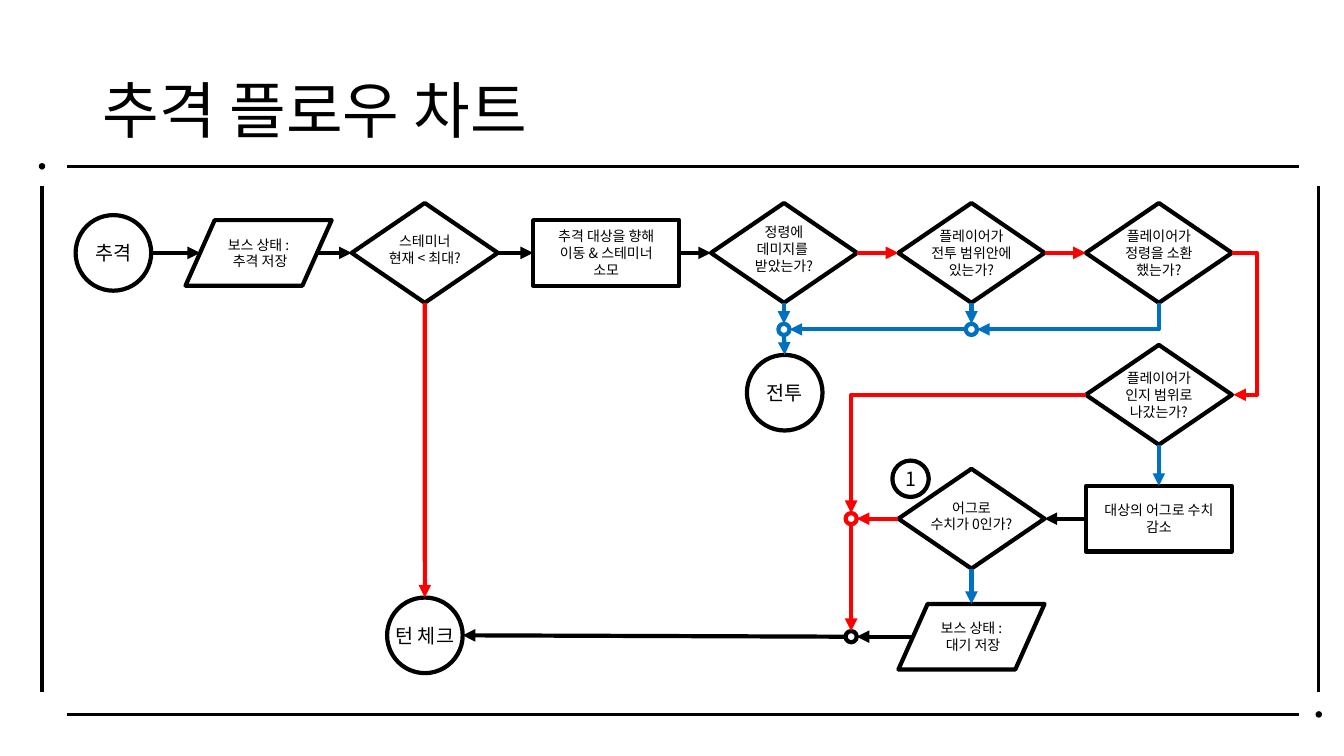
import pptx
import pptx.util
import pptx.dml.color
import pptx.enum.shapes
import pptx.enum.text
import pptx.oxml.ns
from lxml import etree

Pt = pptx.util.Pt
Kind = pptx.enum.shapes.MSO_SHAPE
Wire = pptx.enum.shapes.MSO_CONNECTOR
Align = pptx.enum.text.PP_ALIGN
Anchor = pptx.enum.text.MSO_ANCHOR
qn = pptx.oxml.ns.qn
FONT = "Noto Sans CJK KR"
BLACK, WHITE, RED, BLUE = "000000", "FFFFFF", "FF0000", "0070C0"
SIZES = {
    Kind.RECTANGLE: (104.4, 46.8),
    Kind.FLOWCHART_DATA: (104.4, 46.8),
    Kind.FLOWCHART_DECISION: (104.4, 71.3),
    Kind.OVAL: (54, 54),
}


def color(code):
    return pptx.dml.color.RGBColor.from_string(code)


def write(frame, lines, size, align):
    frame.text = "\n".join(lines)
    frame.vertical_anchor = Anchor.MIDDLE
    for par in frame.paragraphs:
        par.alignment = align
        par.font.size = Pt(size)
        par.font.color.rgb = color(BLACK)
        par.font.name = FONT
        props = par._p.find(".//" + qn("a:defRPr"))
        etree.SubElement(props, qn("a:ea")).set("typeface", FONT)


def node(slide, kind, x, y, lines=(), size=10, lift=0, dim=None,
         line=BLACK, fill=WHITE, width=3):
    w, h = dim or SIZES[kind]
    shape = slide.shapes.add_shape(kind, Pt(x - w / 2), Pt(y - h / 2), Pt(w), Pt(h))
    shape.shadow.inherit = False
    shape.fill.solid()
    shape.fill.fore_color.rgb = color(fill)
    shape.line.color.rgb = color(line)
    shape.line.width = Pt(width)
    if lines:
        frame = shape.text_frame
        frame.word_wrap = False
        frame.margin_left = frame.margin_right = frame.margin_top = 0
        frame.margin_bottom = Pt(2 * lift)
        write(frame, lines, size, Align.CENTER)
    return shape


def joint(slide, x, y, line):
    return node(slide, Kind.OVAL, x, y, dim=(8, 8), line=line)


def port(shape, side):
    x, y = shape.left.pt, shape.top.pt
    w, h = shape.width.pt, shape.height.pt
    skew = w / 10 if shape.auto_shape_type == Kind.FLOWCHART_DATA else 0
    return {
        "left": (x + skew, y + h / 2),
        "right": (x + w - skew, y + h / 2),
        "top": (x + w / 2, y),
        "bottom": (x + w / 2, y + h),
    }[side]


def wire(slide, start, end, line=BLACK, kind=Wire.STRAIGHT, width=3, arrow=True):
    link = slide.shapes.add_connector(kind, *(Pt(v) for v in (*start, *end)))
    link.line.color.rgb = color(line)
    link.line.width = Pt(width)
    if arrow:
        etree.SubElement(link.line._get_or_add_ln(), qn("a:tailEnd")).set("type", "triangle")
    etree.SubElement(link._element.spPr, qn("a:effectLst"))
    return link


def join(slide, first, out, last, into, line=BLACK):
    return wire(slide, port(first, out), port(last, into), line)


def corner(slide, start, end, line, down=False):
    if down:
        mid = [(a + b) / 2 for a, b in zip(start, end)]
        half = [abs(a - b) / 2 for a, b in zip(start, end)][::-1]
        start = [m - d for m, d in zip(mid, half)]
        end = [m + d for m, d in zip(mid, half)]
    link = wire(slide, start, end, line, Wire.ELBOW)
    link._element.spPr.find(qn("a:prstGeom")).set("prst", "bentConnector2")
    if down:
        link._element.spPr.find(qn("a:xfrm")).set("rot", "5400000")


def detour(slide, start, end, line, reach):
    link = wire(slide, start, (start[0] + 1, end[1]), line, Wire.ELBOW)
    shape = link._element.spPr.find(qn("a:prstGeom"))
    guides = shape.find(qn("a:avLst"))
    if guides is None:
        guides = etree.SubElement(shape, qn("a:avLst"))
    guide = etree.SubElement(guides, qn("a:gd"))
    guide.set("name", "adj1")
    guide.set("fmla", f"val {reach * 100000}")


def border(slide, box):
    x, y, w, h = box
    for top in (y, y + h):
        wire(slide, (x + 18, top), (x + w - 14, top), width=2.25, arrow=False)
    for left in (x, x + w):
        wire(slide, (left, y + 14.4), (left, y + h - 15.8), width=2.25, arrow=False)
    for spot in ((x, y), (x + w, y + h)):
        node(slide, Kind.OVAL, *spot, dim=(3.6, 3.6), fill=BLACK, width=1)


def heading(slide, box):
    title = slide.shapes.title
    title.left, title.top, title.width, title.height = map(Pt, box)
    write(title.text_frame, ["추격 플로우 차트"], 44, Align.LEFT)
    title.text_frame.paragraphs[0].line_spacing = 0.9


def chase(slide, box):
    x, y, w, h = box
    mid = y + h / 2
    test = Kind.FLOWCHART_DECISION
    steps = [
        (Kind.OVAL, 27, ["추격"], 14, 0),
        (Kind.FLOWCHART_DATA, 130.7, ["보스 상태 :", " 추격 저장"], 10, 0),
        (test, 249.4, ["스테미너", "현재 < 최대?"], 10, 2.5),
        (Kind.RECTANGLE, 379, ["추격 대상을 향해", "이동 & 스테미너", "소모"], 10, 0),
        (test, w - 320, ["정령에", "데미지를 ", "받았는가?"], 10, 3),
        (test, w - 186.1, ["플레이어가", "전투 범위안에", "있는가?"], 10, 0),
        (test, w - 52.2, ["플레이어가", "정령을 소환", "했는가?"], 10, 0),
    ]
    row = [node(slide, kind, x + dx, mid, lines, size, lift)
           for kind, dx, lines, size, lift in steps]
    for first, last, line in zip(row, row[1:], [BLACK] * 4 + [RED] * 2):
        join(slide, first, "right", last, "left", line)
    return row


def fight(slide, box, tests):
    x, y, w, h = box
    hit, near, call = tests
    goal = node(slide, Kind.OVAL, x + 27, y + h - 27, ["전투"], 14)
    meet, merge = (joint(slide, port(test, "bottom")[0], y + 19, BLUE)
                   for test in (hit, near))
    join(slide, hit, "bottom", meet, "top", BLUE)
    join(slide, near, "bottom", merge, "top", BLUE)
    join(slide, meet, "bottom", goal, "top", BLUE)
    join(slide, merge, "left", meet, "right", BLUE)
    corner(slide, port(call, "bottom"), port(merge, "right"), BLUE, down=True)


def leave(slide, box, full, call):
    x, y, w, h = box
    east, mid, west = x + w - 52.2, x + w - 186.1, x + w - 272
    level, base = y + 124.2, y + h - 27.5
    test = Kind.FLOWCHART_DECISION
    away = node(slide, test, east, y + 35.7, ["플레이어가", "인지 범위로", "나갔는가?"])
    drop = node(slide, Kind.RECTANGLE, east, level, ["대상의 어그로 수치", "감소"])
    zero = node(slide, test, mid, level, ["어그로", "수치가 0인가?"], lift=2)
    wait = node(slide, Kind.FLOWCHART_DATA, mid, base, ["보스 상태 :", " 대기 저장"])
    turn = node(slide, Kind.OVAL, x + 27, base - 1, ["턴 체크"], 14)
    upper = joint(slide, west, level, RED)
    lower = joint(slide, west, base, BLACK)
    for first, out, last, into, line in (
        (away, "bottom", drop, "top", BLUE),
        (drop, "left", zero, "right", BLACK),
        (zero, "bottom", wait, "top", BLUE),
        (zero, "left", upper, "right", RED),
        (upper, "bottom", lower, "top", RED),
        (wait, "left", lower, "right", BLACK),
        (lower, "left", turn, "right", BLACK),
        (full, "bottom", turn, "top", RED),
    ):
        join(slide, first, out, last, into, line)
    detour(slide, port(call, "right"), port(away, "right"), RED, 18)
    corner(slide, port(away, "left"), port(upper, "top"), RED)
    node(slide, Kind.OVAL, mid - 43.5, level - 28.5, ["1"], 14, dim=(26, 26))


def main():
    deck = pptx.Presentation()
    deck.slide_width, deck.slide_height = Pt(960), Pt(540)
    slide = deck.slides.add_slide(deck.slide_layouts[5])
    border(slide, (30, 118.8, 912, 391.5))
    heading(slide, (66, 28.8, 828, 104.4))
    row = chase(slide, (54, 145, 826, 71.3))
    fight(slide, (533.5, 216.3, 294, 91.2), row[4:])
    leave(slide, (276.5, 246.3, 603.5, 236), row[2], row[6])
    deck.save("out.pptx")


main()
